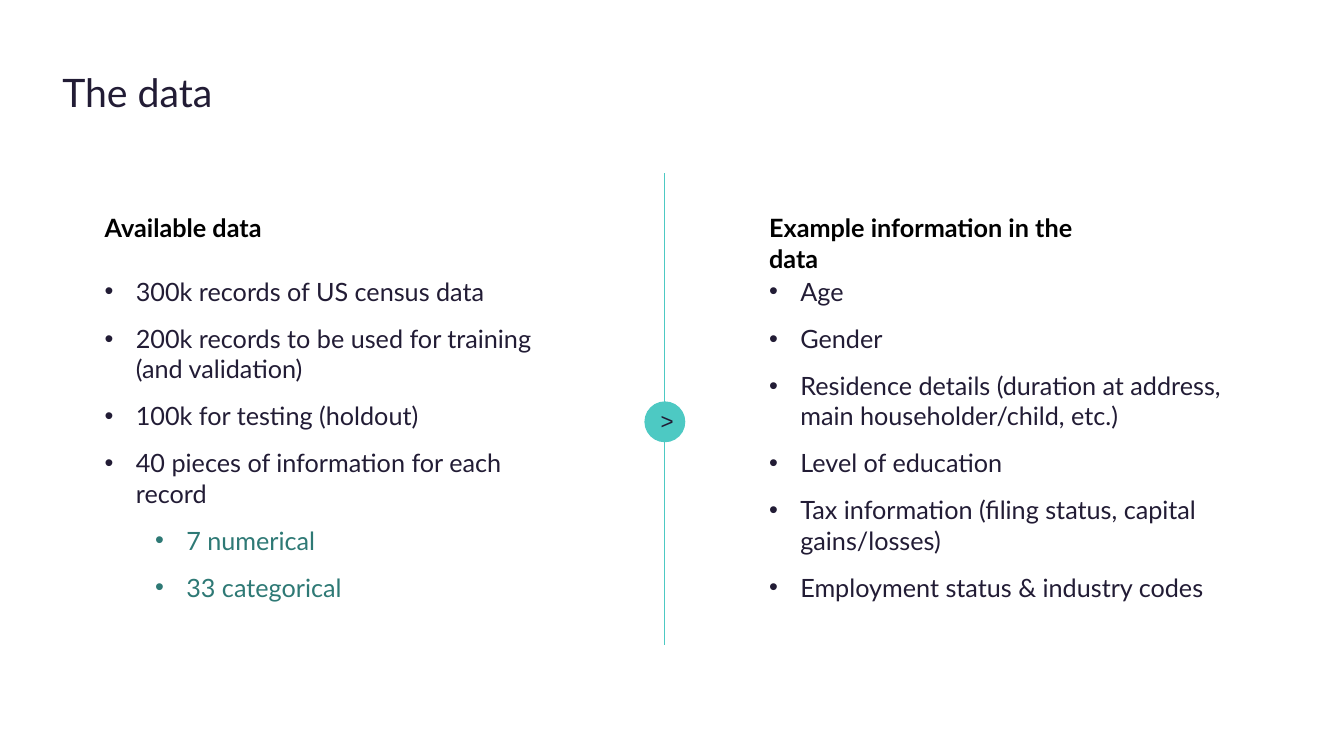
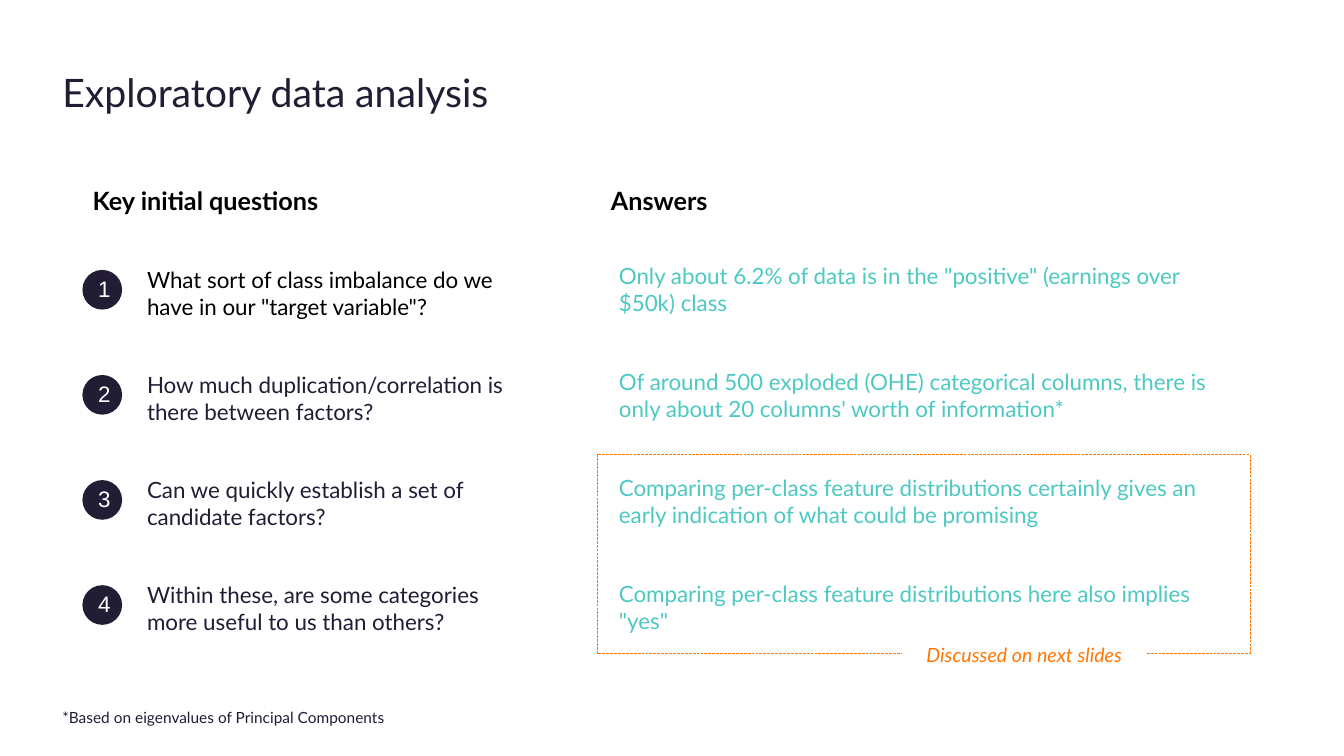
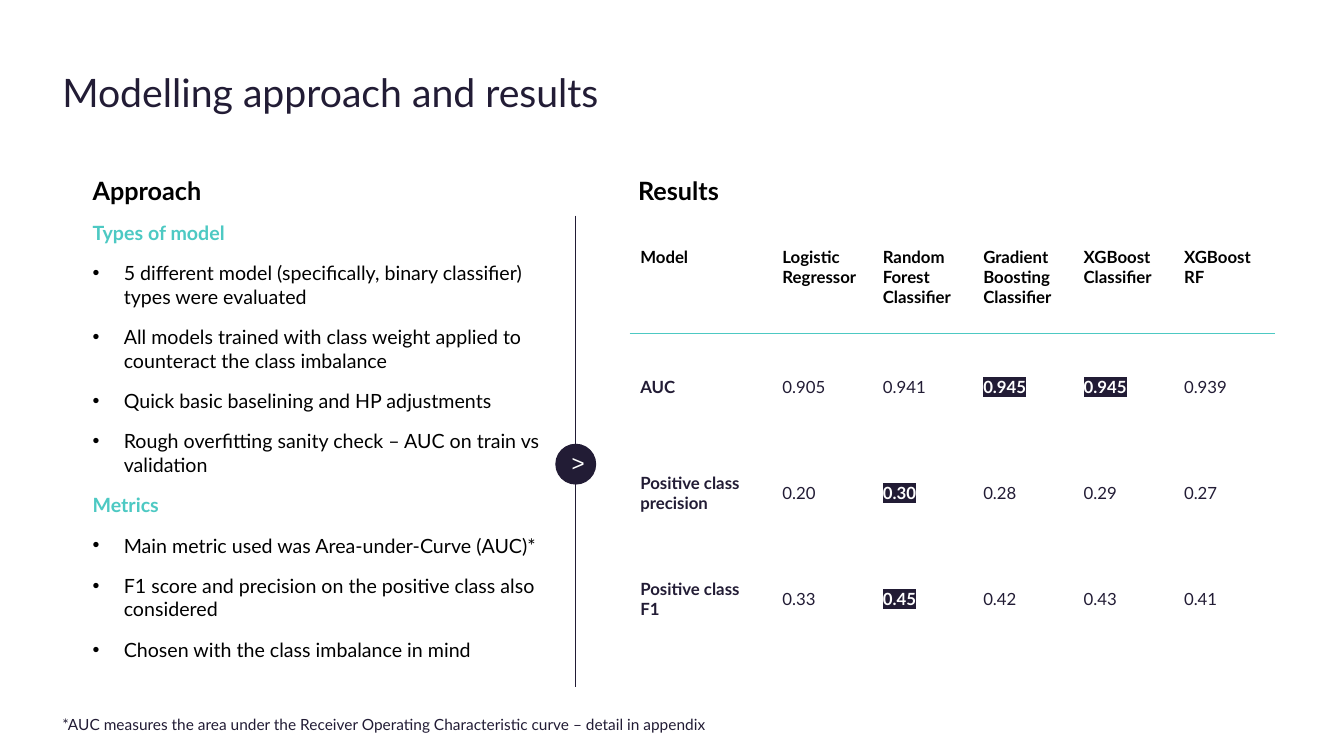
from dataclasses import dataclass
from typing import Optional

from lxml.etree import SubElement
from pptx import Presentation
from pptx.dml.color import RGBColor
from pptx.enum.dml import MSO_LINE
from pptx.enum.shapes import MSO_CONNECTOR, MSO_SHAPE
from pptx.enum.text import MSO_ANCHOR, MSO_AUTO_SIZE, PP_ALIGN
from pptx.oxml.ns import qn
from pptx.oxml.xmlchemy import OxmlElement
from pptx.util import Emu, Inches, Pt

# Shared look
SLIDE_W, SLIDE_H = Inches(13.33), Inches(7.5)
INK = RGBColor(0x22, 0x1C, 0x35)
BLACK = RGBColor(0x00, 0x00, 0x00)
WHITE = RGBColor(0xFF, 0xFF, 0xFF)
TEAL = RGBColor(0x4D, 0xC9, 0xC3)
DEEP_TEAL = RGBColor(0x2E, 0x79, 0x75)
ORANGE = RGBColor(0xFF, 0x77, 0x00)
BODY_FONT, MARKER_FONT = "Lato", "Arial"

# Shared layout, in percent of the slide's width or height
MARGIN = 3.9
MARKER_SIZE = 5.25
DIVIDER_LENGTH = 62.4
DIVIDER_MARKER_DROP = 32.87
HEADING_HEIGHT = 5.33
BULLET_INDENT = Inches(0.31)
LEVEL_STEP = Inches(0.5)


@dataclass(frozen=True)
class Box:
    """An area of the slide, in percent of its width and height."""
    left: float
    top: float
    width: float
    height: float

    def emu(self) -> tuple:
        return (across(self.left), down(self.top),
                across(self.width), down(self.height))


@dataclass(frozen=True)
class Line:
    """A paragraph; one without a level has no bullet."""
    text: str
    color: RGBColor = INK
    level: Optional[int] = None
    bold: bool = False
    italic: bool = False


@dataclass(frozen=True)
class Question:
    text: str
    answer: str
    color: RGBColor = INK


@dataclass(frozen=True)
class Metric:
    name: str
    scores: tuple
    best: str


def across(share: float) -> Emu:
    return Emu(round(SLIDE_W * share / 100))


def down(share: float) -> Emu:
    return Emu(round(SLIDE_H * share / 100))


# Text
def add_run(paragraph, line: Line, size: float, font: str = BODY_FONT):
    run = paragraph.add_run()
    run.text = line.text
    run.font.name = font
    run.font.size = Pt(size)
    run.font.bold = line.bold
    run.font.italic = line.italic
    run.font.color.rgb = line.color
    return run


def add_bullet(paragraph, level: int) -> None:
    paragraph.level = level
    properties = paragraph._p.get_or_add_pPr()
    properties.set("marL", str(BULLET_INDENT + level * LEVEL_STEP))
    properties.set("indent", str(-BULLET_INDENT))
    SubElement(properties, qn("a:buFont")).set("typeface", MARKER_FONT)
    SubElement(properties, qn("a:buChar")).set("char", "•")


def add_text(slide, box: Box, lines: list[Line], size: float,
             gap: float = 0) -> None:
    frame = slide.shapes.add_textbox(*box.emu()).text_frame
    frame.word_wrap = True
    frame.auto_size = MSO_AUTO_SIZE.SHAPE_TO_FIT_TEXT
    for index, line in enumerate(lines):
        paragraph = frame.add_paragraph() if index else frame.paragraphs[0]
        paragraph.space_before = paragraph.space_after = Pt(gap)
        if line.level is not None:
            add_bullet(paragraph, line.level)
        add_run(paragraph, line, size)


def add_heading(slide, left: float, top: float, text: str,
                width: float = 25.28) -> None:
    add_text(slide, Box(left, top, width, HEADING_HEIGHT),
             [Line(text, BLACK, bold=True)], 18)


def add_footnote(slide, top: float, text: str) -> None:
    add_text(slide, Box(MARGIN, top, 87.47, 3.87), [Line(text)], 11)


def add_titled_slide(deck, title: str):
    slide = deck.slides.add_slide(deck.slide_layouts[6])
    add_text(slide, Box(MARGIN, 8.4, 72.9, 7.6), [Line(title)], 28)
    return slide


# Markers and dividers
def add_marker(slide, center_x: float, center_y: float, sign: str,
               fill: RGBColor, color: RGBColor, outlined: bool) -> None:
    size = down(MARKER_SIZE)
    marker = slide.shapes.add_shape(
        MSO_SHAPE.OVAL, across(center_x) - size // 2,
        down(center_y) - size // 2, size, size)
    marker.shadow.inherit = False
    marker.fill.solid()
    marker.fill.fore_color.rgb = fill
    if outlined:
        marker.line.color.rgb = fill
        marker.line.width = Pt(0.85)
    else:
        marker.line.fill.background()
    frame = marker.text_frame
    frame.vertical_anchor = MSO_ANCHOR.MIDDLE
    frame.margin_left = frame.margin_right = Inches(0.1)
    frame.margin_top = frame.margin_bottom = Inches(0.1)
    paragraph = frame.paragraphs[0]
    paragraph.alignment = PP_ALIGN.CENTER
    paragraph.line_spacing = 0.95
    add_run(paragraph, Line(sign, color), 16, MARKER_FONT)


def add_divider(slide, x: float, top: float, color: RGBColor,
                sign_color: RGBColor) -> None:
    divider = slide.shapes.add_connector(
        MSO_CONNECTOR.STRAIGHT, across(x), down(top),
        across(x), down(top + DIVIDER_LENGTH))
    divider.line.color.rgb = color
    divider.line.width = Pt(0.75)
    SubElement(divider._element.spPr, qn("a:effectLst"))
    add_marker(slide, x, top + DIVIDER_MARKER_DROP, ">", color, sign_color,
               outlined=True)


# Slide 1: the data
def build_data_slide(deck) -> None:
    slide = add_titled_slide(deck, "The data")
    available_left, example_left = 7.05, 56.49
    heading_top, list_top, list_width = 27.47, 35.87, 36.53
    available = [Line(text, level=0) for text in (
        "300k records of US census data",
        "200k records to be used for training (and validation)",
        "100k for testing (holdout)",
        "40 pieces of information for each record")]
    available += [Line(text, DEEP_TEAL, level=1)
                  for text in ("7 numerical", "33 categorical")]
    examples = [Line(text, level=0) for text in (
        "Age",
        "Gender",
        "Residence details (duration at address, main householder/child, etc.)",
        "Level of education",
        "Tax information (filing status, capital gains/losses)",
        "Employment status & industry codes")]
    add_heading(slide, available_left, heading_top, "Available data")
    add_heading(slide, example_left, heading_top,
                "Example information in the data", 27.6)
    for left, lines in ((available_left, available), (example_left, examples)):
        add_text(slide, Box(left, list_top, list_width, 44.9), lines, 18, gap=6)
    add_divider(slide, 49.47, 22.93, TEAL, INK)


# Slide 2: questions and answers
QUESTIONS = (
    Question('What sort of class imbalance do we have in our "target variable"?',
             'Only about 6.2% of data is in the "positive" (earnings over '
             '$50k) class', BLACK),
    Question("How much duplication/correlation is there between factors?",
             "Of around 500 exploded (OHE) categorical columns, there is only "
             "about 20 columns' worth of information*"),
    Question("Can we quickly establish a set of candidate factors?",
             "Comparing per-class feature distributions certainly gives an "
             "early indication of what could be promising"),
    Question("Within these, are some categories more useful to us than others?",
             'Comparing per-class feature distributions here also implies "yes"'),
)


def add_discussed_frame(slide) -> None:
    frame = slide.shapes.add_shape(
        MSO_SHAPE.RECTANGLE, *Box(44.41, 60.13, 48.61, 26.27).emu())
    frame.shadow.inherit = False
    frame.fill.background()
    frame.line.color.rgb = ORANGE
    frame.line.width = Pt(0.25)
    frame.line.dash_style = MSO_LINE.LONG_DASH

    label = slide.shapes.add_shape(
        MSO_SHAPE.RECTANGLE, *Box(67.22, 84.67, 18, 3.87).emu())
    label.shadow.inherit = False
    label.fill.solid()
    label.fill.fore_color.rgb = WHITE
    label.line.color.rgb = WHITE
    label.line.width = Pt(1.5)
    label.text_frame.vertical_anchor = MSO_ANCHOR.MIDDLE
    paragraph = label.text_frame.paragraphs[0]
    paragraph.alignment = PP_ALIGN.CENTER
    add_run(paragraph, Line("Discussed on next slides", ORANGE, italic=True), 14)


def build_analysis_slide(deck) -> None:
    slide = add_titled_slide(deck, "Exploratory data analysis")
    add_heading(slide, 6.15, 23.87, "Key initial questions")
    add_heading(slide, 44.71, 23.87, "Answers")
    question_pitch, answer_pitch, text_height = 13.9, 14.04, 8.53
    for row, question in enumerate(QUESTIONS):
        shift = row * question_pitch
        add_marker(slide, 7.61, 38.33 + shift, str(row + 1), INK, WHITE,
                   outlined=False)
        add_text(slide, Box(10.2, 34.53 + shift, 30.08, text_height),
                 [Line(question.text, question.color)], 16)
        add_text(slide, Box(45.31, 34 + row * answer_pitch, 47.26, text_height),
                 [Line(question.answer, TEAL)], 16)
    add_footnote(slide, 93.07, "*Based on eigenvalues of Principal Components")
    add_discussed_frame(slide)


# Slide 3: approach and results
APPROACH = {
    "Types of model": (
        "5 different model (specifically, binary classifier) types were evaluated",
        "All models trained with class weight applied to counteract the class "
        "imbalance",
        "Quick basic baselining and HP adjustments",
        "Rough overfitting sanity check – AUC on train vs validation"),
    "Metrics": (
        "Main metric used was Area-under-Curve (AUC)*",
        "F1 score and precision on the positive class also considered",
        "Chosen with the class imbalance in mind"),
}
MODELS = ("Model", "Logistic Regressor", "Random Forest Classifier",
          "Gradient Boosting Classifier", "XGBoost Classifier", "XGBoost RF")
METRICS = (
    Metric("AUC", ("0.905", "0.941", "0.945", "0.945", "0.939"), "0.945"),
    Metric("Positive class precision",
           ("0.20", "0.30", "0.28", "0.29", "0.27"), "0.30"),
    Metric("Positive class F1",
           ("0.33", "0.45", "0.42", "0.43", "0.41"), "0.45"),
)


def add_color(parent, color: RGBColor) -> None:
    fill = SubElement(parent, qn("a:solidFill"))
    SubElement(fill, qn("a:srgbClr")).set("val", str(color))


def add_border(cell, side: str) -> None:
    border = OxmlElement(f"a:{side}")
    border.set("w", str(Pt(1)))
    add_color(border, TEAL)
    cell._tc.get_or_add_tcPr().insert(0, border)


def highlight(run, color: RGBColor) -> None:
    mark = OxmlElement("a:highlight")
    SubElement(mark, qn("a:srgbClr")).set("val", str(color))
    run._r.get_or_add_rPr().find(qn("a:solidFill")).addnext(mark)


def fill_cell(cell, line: Line, anchor: MSO_ANCHOR):
    cell.fill.background()
    cell.vertical_anchor = anchor
    return add_run(cell.text_frame.paragraphs[0], line, 12)


def add_results(slide) -> None:
    name_width, score_width, header_height, row_height = 10.58, 7.47, 12.13, 14.04
    area = Box(46.89, 32, name_width + score_width * (len(MODELS) - 1),
               header_height + row_height * len(METRICS))
    table = slide.shapes.add_table(
        len(METRICS) + 1, len(MODELS), *area.emu()).table
    table.first_row = table.horz_banding = False
    for index, column in enumerate(table.columns):
        column.width = across(score_width if index else name_width)
    for index, row in enumerate(table.rows):
        row.height = down(row_height if index else header_height)

    for column, model in enumerate(MODELS):
        fill_cell(table.cell(0, column), Line(model, BLACK, bold=True),
                  MSO_ANCHOR.TOP)
        add_border(table.cell(0, column), "lnB")
    for row, metric in enumerate(METRICS, 1):
        fill_cell(table.cell(row, 0), Line(metric.name, bold=True),
                  MSO_ANCHOR.MIDDLE)
        for column, score in enumerate(metric.scores, 1):
            best = score == metric.best
            run = fill_cell(table.cell(row, column),
                            Line(score, WHITE if best else INK, bold=best),
                            MSO_ANCHOR.MIDDLE)
            if best:
                highlight(run, INK)
    for column in range(len(MODELS)):
        add_border(table.cell(1, column), "lnT")


def build_results_slide(deck) -> None:
    slide = add_titled_slide(deck, "Modelling approach and results")
    left, heading_top, body_top = 6.15, 22.53, 28.53
    add_heading(slide, left, heading_top, "Approach")
    add_heading(slide, 46.74, heading_top, "Results")
    add_results(slide)
    lines = []
    for topic, points in APPROACH.items():
        lines.append(Line(topic, TEAL, bold=True))
        lines += [Line(point, BLACK, level=0) for point in points]
    add_text(slide, Box(left, body_top, 35.63, 60.13), lines, 14, gap=6)
    add_divider(slide, 42.84, body_top, INK, WHITE)
    add_footnote(slide, 94, "*AUC measures the area under the Receiver Operating "
                            "Characteristic curve – detail in appendix")


def main() -> None:
    deck = Presentation()
    deck.slide_width, deck.slide_height = SLIDE_W, SLIDE_H
    build_data_slide(deck)
    build_analysis_slide(deck)
    build_results_slide(deck)
    deck.save("out.pptx")


if __name__ == "__main__":
    main()
